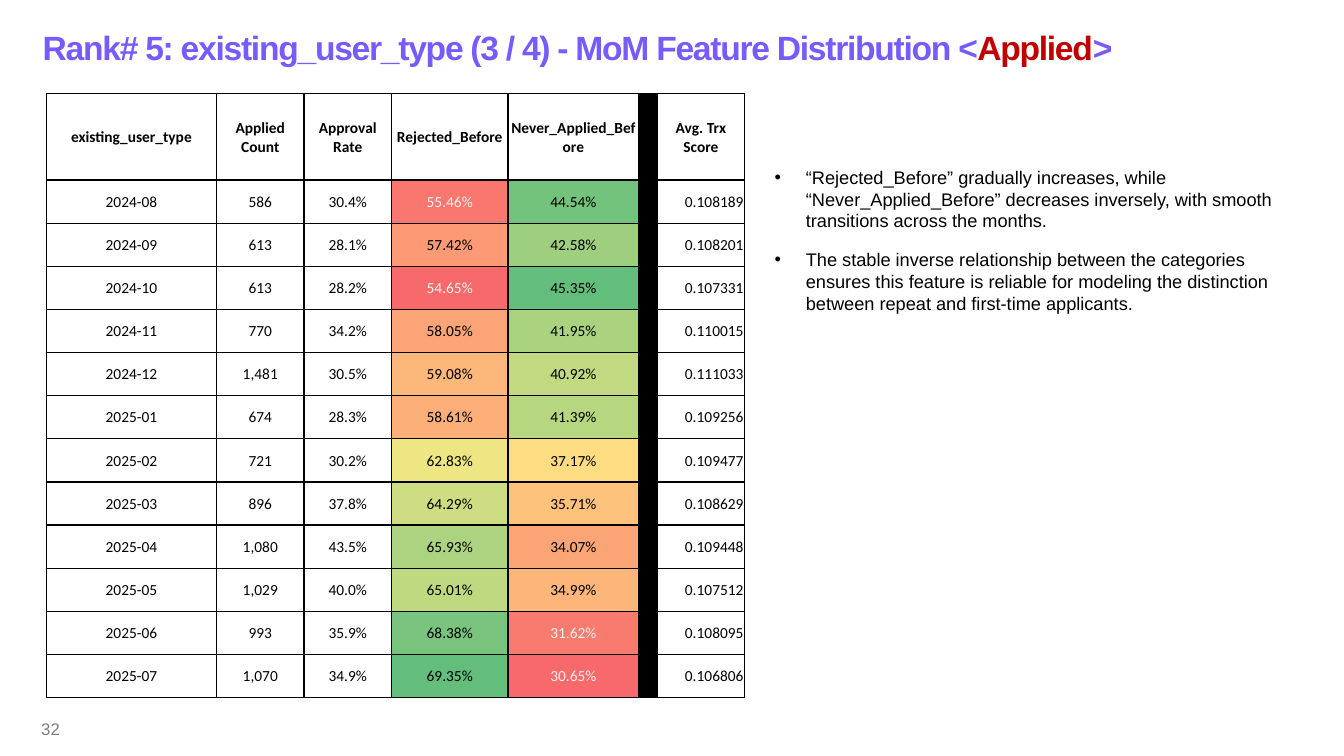
from lxml import etree
from pptx import Presentation
from pptx.dml.color import RGBColor
from pptx.enum.text import MSO_ANCHOR, MSO_AUTO_SIZE, PP_ALIGN
from pptx.oxml.ns import qn
from pptx.util import Cm, Pt

LEFT, CENTER, RIGHT = PP_ALIGN.LEFT, PP_ALIGN.CENTER, PP_ALIGN.RIGHT
TOP, MIDDLE = MSO_ANCHOR.TOP, MSO_ANCHOR.MIDDLE
TITLE_ONLY = 5

PURPLE = RGBColor(0x78, 0x5A, 0xFF)
CRIMSON = RGBColor(0xC0, 0x00, 0x00)
GRAY = RGBColor(0x80, 0x80, 0x80)
BLACK = RGBColor(0x00, 0x00, 0x00)
PALE = RGBColor(0xF1, 0xF1, 0xF1)
SCALE_LOW = RGBColor(0xF8, 0x69, 0x6B)
SCALE_MID = RGBColor(0xFF, 0xEB, 0x84)
SCALE_HIGH = RGBColor(0x63, 0xBE, 0x7B)

HEADERS = ["existing_user_type", "Applied Count", "Approval Rate", "Rejected_Before",
           "Never_Applied_Before", "", "Avg. Trx Score"]
COL_WIDTHS = [4.29, 2.2, 2.21, 2.93, 3.3, 0.47, 2.19]
REJECTED, NEVER, DIVIDER, SCORE = 3, 4, 5, 6

# month, applied count, approval rate %, rejected before %, never applied %, score
MONTHS = [
    ("2024-08", 586, 30.4, 55.46, 44.54, 0.108189),
    ("2024-09", 613, 28.1, 57.42, 42.58, 0.108201),
    ("2024-10", 613, 28.2, 54.65, 45.35, 0.107331),
    ("2024-11", 770, 34.2, 58.05, 41.95, 0.110015),
    ("2024-12", 1481, 30.5, 59.08, 40.92, 0.111033),
    ("2025-01", 674, 28.3, 58.61, 41.39, 0.109256),
    ("2025-02", 721, 30.2, 62.83, 37.17, 0.109477),
    ("2025-03", 896, 37.8, 64.29, 35.71, 0.108629),
    ("2025-04", 1080, 43.5, 65.93, 34.07, 0.109448),
    ("2025-05", 1029, 40.0, 65.01, 34.99, 0.107512),
    ("2025-06", 993, 35.9, 68.38, 31.62, 0.108095),
    ("2025-07", 1070, 34.9, 69.35, 30.65, 0.106806),
]

FINDINGS = [
    "“Rejected_Before” gradually increases, while “Never_Applied_Before” decreases "
    "inversely, with smooth transitions across the months.",
    "The stable inverse relationship between the categories ensures this feature is "
    "reliable for modeling the distinction between repeat and first-time applicants.",
]


def add_text(p, text, size=11, color=BLACK, bold=False, font="Arial", align=LEFT,
             tracking=None):
    """Append a formatted run to paragraph p."""
    p.alignment = align
    r = p.add_run()
    r.text = text
    r.font.size, r.font.bold, r.font.name = Pt(size), bold, font
    r.font.color.rgb = color
    if tracking is not None:
        r.font._element.set("spc", str(round(tracking * 100)))


def add_bullet(p, indent):
    pPr = p._p.get_or_add_pPr()
    pPr.set("marL", str(indent))
    pPr.set("indent", str(-indent))
    etree.SubElement(pPr, qn("a:buFont")).set("typeface", "Arial")
    etree.SubElement(pPr, qn("a:buChar")).set("char", "•")


def add_borders(cell):
    tcPr = cell._tc.get_or_add_tcPr()
    for side in ("a:lnL", "a:lnR", "a:lnT", "a:lnB"):
        ln = etree.SubElement(tcPr, qn(side))
        ln.set("w", str(Pt(1)))
        fill = etree.SubElement(ln, qn("a:solidFill"))
        etree.SubElement(fill, qn("a:srgbClr")).set("val", str(BLACK))


def scale_color(value, values):
    """Red-yellow-green colour of value within the range of values."""
    low, high = min(values), max(values)
    t = 2 * (value - low) / (high - low)
    start, end = (SCALE_LOW, SCALE_MID) if t < 1 else (SCALE_MID, SCALE_HIGH)
    t -= t >= 1
    return RGBColor(*(round(a + (b - a) * t) for a, b in zip(start, end)))


def fill_cell(cell, text, fill=None, **fmt):
    add_borders(cell)
    cell.vertical_anchor = MIDDLE
    cell.margin_left = cell.margin_right = cell.margin_top = Cm(0.02)
    cell.margin_bottom = 0
    if fill is None:
        cell.fill.background()
    else:
        cell.fill.solid()
        cell.fill.fore_color.rgb = fill
    if text:
        add_text(cell.text_frame.paragraphs[0], text, font="Calibri", **fmt)


def build_title(s, x, y, w, h):
    sp = s.shapes.title
    sp.left, sp.top, sp.width, sp.height = x, y, w, h
    tf = sp.text_frame
    tf.vertical_anchor, tf.auto_size = MIDDLE, MSO_AUTO_SIZE.NONE
    p = tf.paragraphs[0]
    p.line_spacing = 1.5
    for text, color in [
            ("Rank# 5: existing_user_type (3 / 4) - MoM Feature Distribution <", PURPLE),
            ("Applied", CRIMSON), (">", PURPLE)]:
        add_text(p, text, size=24, color=color, bold=True, tracking=-0.9)


def build_table(s, x, y, w, h):
    table = s.shapes.add_table(len(MONTHS) + 1, len(HEADERS), x, y, w, h).table
    for col, width in zip(table.columns, COL_WIDTHS):
        col.width = Cm(width)
    # The header is twice as tall as a month row
    unit = h // (len(MONTHS) + 2)
    for i, row in enumerate(table.rows):
        row.height = unit if i else 2 * unit

    # Header row
    for c, text in enumerate(HEADERS):
        fill_cell(table.cell(0, c), text, BLACK if c == DIVIDER else None,
                  bold=True, align=CENTER)

    # Month rows with heat-mapped shares
    shares = {c: [m[c] for m in MONTHS] for c in (REJECTED, NEVER)}
    for i, (month, count, rate, rejected, never, score) in enumerate(MONTHS, 1):
        texts = [month, f"{count:,}", f"{rate:.1f}%", f"{rejected:.2f}%",
                 f"{never:.2f}%", "", f"{score:.6f}"]
        fills = {REJECTED: scale_color(rejected, shares[REJECTED]),
                 NEVER: scale_color(never, shares[NEVER]), DIVIDER: BLACK}
        for c, text in enumerate(texts):
            fill = fills.get(c)
            deep_red = c in shares and fill[1] < 0x80
            fill_cell(table.cell(i, c), text, fill, color=PALE if deep_red else BLACK,
                      align=RIGHT if c == SCORE else CENTER)


def add_box(s, x, y, w, h, anchor):
    tf = s.shapes.add_textbox(x, y, w, h).text_frame
    tf.word_wrap, tf.vertical_anchor = True, anchor
    return tf


def build_findings(s, x, y, w, h):
    tf = add_box(s, x, y, w, h, TOP)
    tf.auto_size = MSO_AUTO_SIZE.SHAPE_TO_FIT_TEXT
    for i, text in enumerate(FINDINGS):
        p = tf.add_paragraph() if i else tf.paragraphs[0]
        p.space_after = Pt(12)
        add_bullet(p, Cm(0.79))
        add_text(p, text, size=13)


def build_page_number(s, x, y, w, h):
    p = add_box(s, x, y, w, h, MIDDLE).paragraphs[0]
    p.space_after = Pt(6)
    add_text(p, "32", size=12, color=GRAY)


def main():
    prs = Presentation()
    prs.slide_width, prs.slide_height = Cm(33.87), Cm(19.05)
    s = prs.slides.add_slide(prs.slide_layouts[TITLE_ONLY])
    build_title(s, Cm(0.82), Cm(0), Cm(29.62), Cm(1.85))
    build_table(s, Cm(1.17), Cm(2.36), Cm(sum(COL_WIDTHS)), Cm(15.23))
    build_findings(s, Cm(19.27), Cm(4.06), Cm(13.44), Cm(4.01))
    build_page_number(s, Cm(0.79), Cm(17.86), Cm(7.62), Cm(1.02))
    prs.save("out.pptx")


if __name__ == "__main__":
    main()
